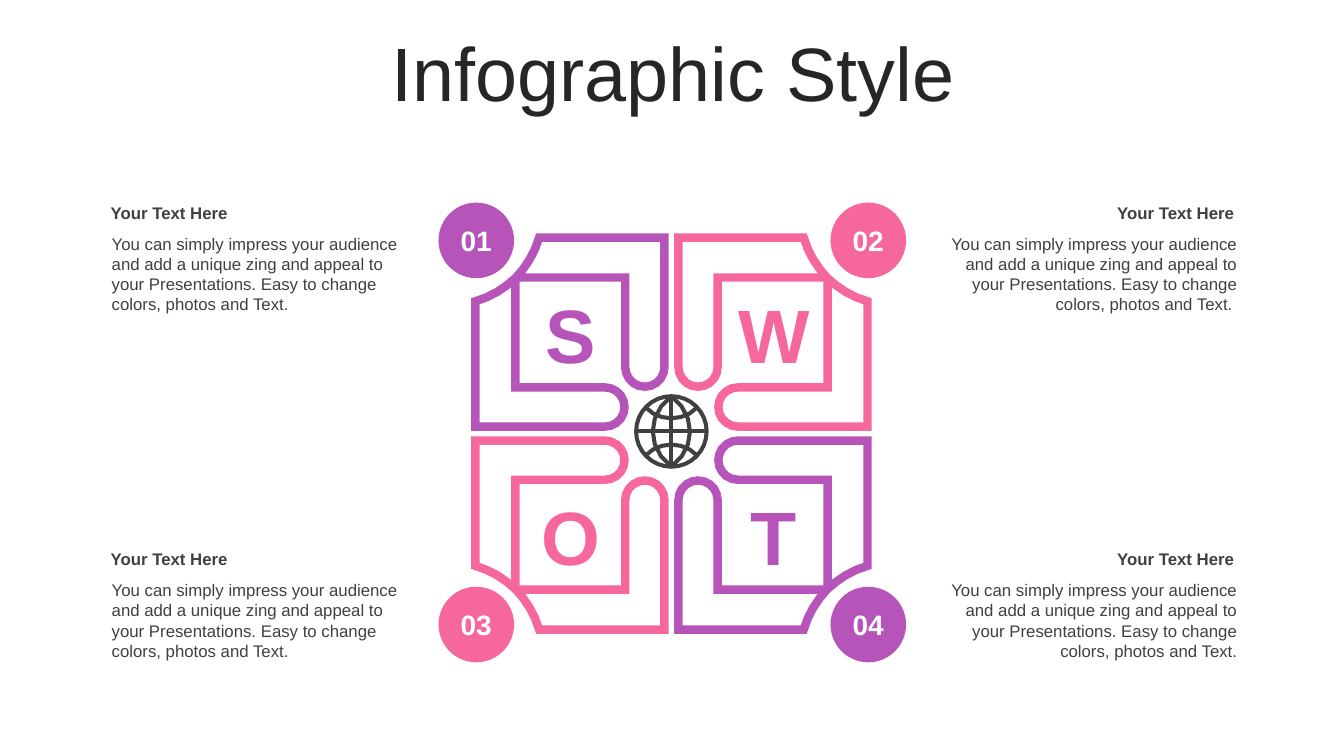
"""Build a four-part SWOT infographic slide around a globe."""
import math
from dataclasses import dataclass

import lxml.etree
import pptx
import pptx.dml.color
import pptx.enum.shapes
import pptx.enum.text
import pptx.oxml.ns
import pptx.util

Pt = pptx.util.Pt
ALIGN = pptx.enum.text.PP_ALIGN
ANCHOR = pptx.enum.text.MSO_ANCHOR
Point = tuple[float, float]

PURPLE, PINK, DARK, WHITE = "B754BA", "F5679D", "404040", "FFFFFF"
CX, CY = 479.6, 309.7
HEADING = "Your Text Here"
BODY = (
    "You can simply impress your audience and add a unique zing and appeal "
    "to your Presentations. Easy to change colors, photos and Text."
)


@dataclass
class Quadrant:
    number: str
    letter: str
    color: str
    sx: int
    sy: int
    body: str = BODY


QUADRANTS = [
    Quadrant("01", "S", PURPLE, -1, -1),
    Quadrant("02", "W", PINK, 1, -1, BODY + " "),
    Quadrant("03", "O", PINK, -1, 1),
    Quadrant("04", "T", PURPLE, 1, 1),
]


def rgb(color: str) -> pptx.dml.color.RGBColor:
    return pptx.dml.color.RGBColor.from_string(color)


def write(sp, text: str, size: float, color: str, bold: bool = False,
          align=ALIGN.CENTER, anchor=ANCHOR.MIDDLE, inset: float = 0):
    tf = sp.text_frame
    tf.word_wrap = True
    tf.vertical_anchor = anchor
    tf.margin_left = tf.margin_right = Pt(inset)
    tf.margin_top = tf.margin_bottom = Pt(inset / 2)
    p = tf.paragraphs[0]
    p.text = text
    p.alignment = align
    p.font.name = "Arial"
    p.font.size = Pt(size)
    p.font.bold = bold
    p.font.color.rgb = rgb(color)
    return p


def textbox(s, x: float, y: float, w: float, h: float, *args, **style):
    sp = s.shapes.add_textbox(Pt(x), Pt(y), Pt(w), Pt(h))
    return write(sp, *args, **style)


def bezier(a: Point, b: Point, c: Point, d: Point, steps: int = 6) -> list[Point]:
    def at(t: float) -> Point:
        u = 1 - t
        weights = (u**3, 3 * u * u * t, 3 * u * t * t, t**3)
        return tuple(sum(k * q[i] for k, q in zip(weights, (a, b, c, d))) for i in (0, 1))
    return [at(i / steps) for i in range(steps + 1)]


def arc(x: float, y: float, radius: float, start: float, end: float,
        steps: int) -> list[Point]:
    angles = [math.radians(start + (end - start) * i / steps) for i in range(steps + 1)]
    return [(x + radius * math.cos(a), y + radius * math.sin(a)) for a in angles]


def outline(s, contours: list[list[Point]], color: str, width: float, close: bool):
    builder = None
    for contour in contours:
        pts = [(Pt(x), Pt(y)) for x, y in contour]
        if builder is None:
            builder = s.shapes.build_freeform(*pts[0])
        else:
            builder.move_to(*pts[0])
        builder.add_line_segments(pts[1:], close=close)
    sp = builder.convert_to_shape()
    sp.shadow.inherit = False
    sp.line.color.rgb = rgb(color)
    sp.line.width = Pt(width)
    ln = sp.line._get_or_add_ln()
    lxml.etree.SubElement(ln, pptx.oxml.ns.qn("a:miter"), lim="800000")
    if close:
        sp.fill.solid()
        sp.fill.fore_color.rgb = rgb(WHITE)
    else:
        sp.fill.background()


def draw_petal(s, q: Quadrant) -> None:
    arm = [(111, 111.5), (33, 111.5), *arc(19, 47.5, 14, 0, -180, 10), (5, 140),
           *bezier((94.5, 140), (97.5, 129), (104, 119), (111, 111.5), 4)[:-1]]
    mirrored = [(y, x) for x, y in arm]
    contours = [[(CX + q.sx * x, CY + q.sy * y) for x, y in c] for c in (arm, mirrored)]
    outline(s, contours, q.color, 6, True)


def draw_badge(s, q: Quadrant) -> None:
    d = 54
    x, y = CX + 0.6 + q.sx * 140 - d / 2, CY - 0.8 + q.sy * 137.2 - d / 2
    sp = s.shapes.add_shape(pptx.enum.shapes.MSO_SHAPE.OVAL, Pt(x), Pt(y), Pt(d), Pt(d))
    sp.shadow.inherit = False
    sp.fill.solid()
    sp.fill.fore_color.rgb = rgb(q.color)
    sp.line.fill.background()
    write(sp, q.number, 20, WHITE, bold=True)


def draw_texts(s, q: Quadrant) -> None:
    w, h = 64, 73
    textbox(s, CX + 0.8 + q.sx * 72.4 - w / 2, CY + 0.4 + q.sy * 72 - h / 2, w, h,
            q.letter, 54, q.color, bold=True)
    left = q.sx < 0
    x = 72 if left else 670.2
    y = 141.2 if q.sy < 0 else 388.7
    style = dict(align=ALIGN.LEFT if left else ALIGN.RIGHT, anchor=ANCHOR.TOP, inset=7.2)
    textbox(s, x, y, 218.5, 21.8, HEADING, 12, DARK, bold=True, **style)
    textbox(s, x + 0.7, y + 22, 220, 65.4, q.body, 12, DARK, **style)


def draw_globe(s) -> None:
    r = 25.2
    contours = [arc(0, 0, r, 0, 360, 32), [(-r, 0), (r, 0)], [(0, -r), (0, r)]]
    for side in (-1, 1):
        contours.append(bezier((0, -r), (side * 17.7, -12), (side * 17.7, 12), (0, r)))
        contours.append(bezier((-18.4, side * 17.2), (-9, side * 6.8),
                               (9, side * 6.8), (18.4, side * 17.2)))
    outline(s, [[(CX + x, CY - 1.5 + y) for x, y in c] for c in contours], DARK, 2.9, False)


def main() -> None:
    prs = pptx.Presentation()
    prs.slide_width, prs.slide_height = Pt(960), Pt(540)
    s = prs.slides.add_slide(prs.slide_layouts[6])
    p = textbox(s, 25.2, 26.6, 911.5, 57, "Infographic Style", 54, "262626", inset=7.2)
    p.line_spacing = 0.9
    for q in QUADRANTS:
        draw_petal(s, q)
        draw_badge(s, q)
        draw_texts(s, q)
    draw_globe(s)
    prs.save("out.pptx")


if __name__ == "__main__":
    main()
